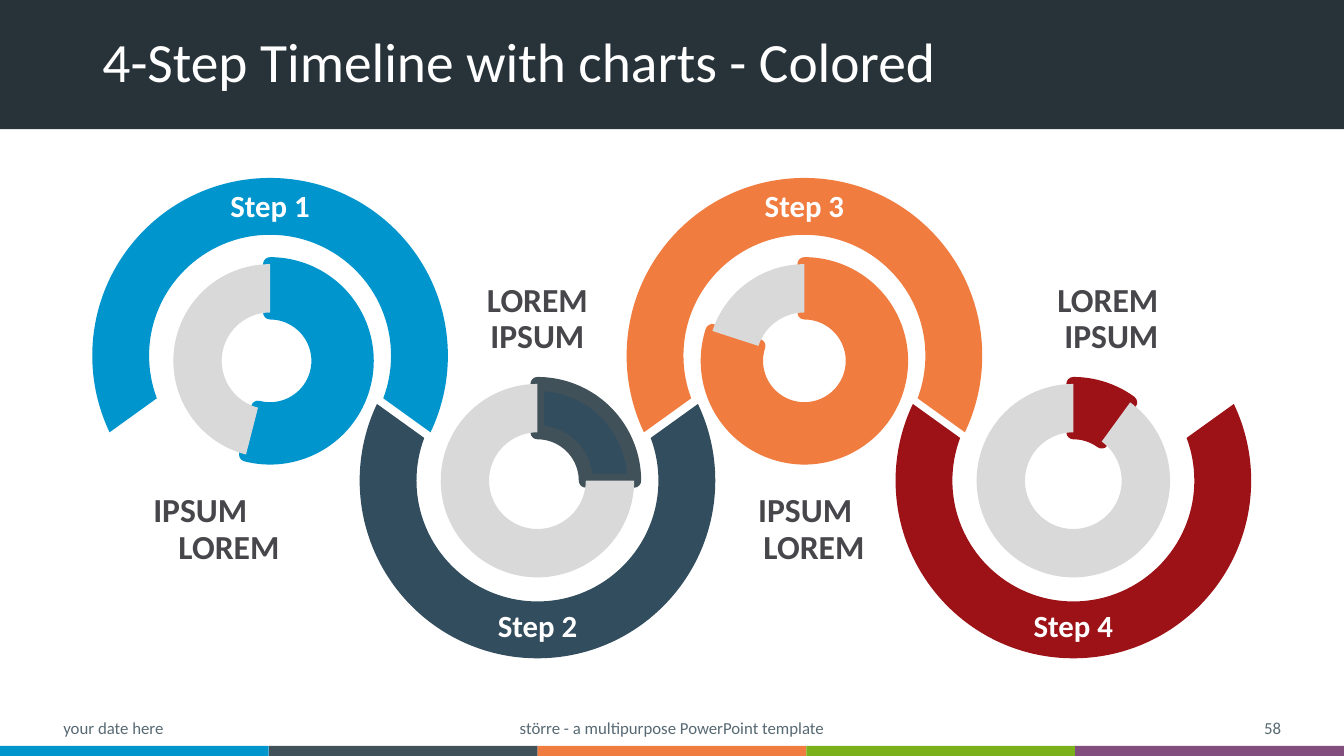
from dataclasses import dataclass
from math import cos, radians, sin, tan

from lxml import etree
from pptx import Presentation
from pptx.chart import data as chart_data
from pptx.dml.color import RGBColor
from pptx.enum import chart as charts, shapes, text
from pptx.oxml import ns
from pptx.util import Pt

LEFT, CENTER, RIGHT = text.PP_ALIGN.LEFT, text.PP_ALIGN.CENTER, text.PP_ALIGN.RIGHT
TOP, MIDDLE, BOTTOM = text.MSO_ANCHOR.TOP, text.MSO_ANCHOR.MIDDLE, text.MSO_ANCHOR.BOTTOM


@dataclass(frozen=True)
class Theme:
    """Colours and type sizes of the slide."""
    font: str = "Calibri"
    header: str = "273339"
    white: str = "FFFFFF"
    caption: str = "47464B"
    footer: str = "576973"
    rest: str = "D9D9D9"
    blue: str = "0095CD"
    slate: str = "40515A"
    navy: str = "324D5E"
    orange: str = "F17C3F"
    green: str = "7BB21B"
    purple: str = "814E7E"
    red: str = "9D1217"
    title_size: float = 39.6
    caption_size: float = 24
    step_size: float = 22
    footer_size: float = 12
    chart_size: float = 10


THEME = Theme()
WIDTH, HEIGHT = 960, 540
HEADER_HEIGHT = 92.2
STRIPE_HEIGHT = 7.2
RING_OUTER, RING_INNER = 127, 86.4
OUTER_END, INNER_END = 25.5, 20.6
CHART_WIDTH, CHART_HEIGHT, DONUT = 180.7, 158.4, 138.2

STEPS = [
    ("Step 1", 192.9, True, 54, THEME.blue, THEME.blue),
    ("Step 2", 383.9, False, 25, THEME.navy, THEME.slate),
    ("Step 3", 574.6, True, 80, THEME.orange, THEME.orange),
    ("Step 4", 766.7, False, 10, THEME.red, THEME.red),
]
CAPTIONS = [
    ("IPSUM LOREM", 102.4, 349.2, 85.7, LEFT, TOP, 18),
    ("LOREM IPSUM", 315.8, 172.1, 85.7, CENTER, BOTTOM, 0),
    ("IPSUM LOREM ", 507.1, 349.2, 85.7, CENTER, TOP, 18),
    ("LOREM IPSUM", 698.4, 198, 59.8, RIGHT, BOTTOM, 18),
]
FOOTERS = [
    ("your date here", 38.2, 216, LEFT),
    ("större - a multipurpose PowerPoint template", 318, 324, CENTER),
    ("58", 706.2, 216, RIGHT),
]
STRIPES = [THEME.blue, THEME.slate, THEME.orange, THEME.green, THEME.purple]


def paint(shape, color):
    """Give a shape a flat fill without outline or shadow."""
    shape.shadow.inherit = False
    shape.fill.solid()
    shape.fill.fore_color.rgb = RGBColor.from_string(color)
    shape.line.fill.background()


def add_bar(slide, left, top, width, height, color):
    """Add a plain rectangle."""
    bar = slide.shapes.add_shape(
        shapes.MSO_SHAPE.RECTANGLE, Pt(left), Pt(top), Pt(width), Pt(height))
    paint(bar, color)


def write(box, words, size, color, align, anchor, bold=False, spacing=0.9, hanging=0):
    """Fill a text shape with one formatted paragraph."""
    frame = box.text_frame
    frame.word_wrap = True
    frame.auto_size = text.MSO_AUTO_SIZE.NONE
    frame.vertical_anchor = anchor
    frame.text = words
    paragraph = frame.paragraphs[0]
    paragraph.alignment = align
    paragraph.line_spacing = spacing
    if hanging:
        properties = paragraph._p.get_or_add_pPr()
        properties.set("marL", str(Pt(hanging)))
        properties.set("indent", str(-Pt(hanging)))
    paragraph.font.name = THEME.font
    paragraph.font.size = Pt(size)
    paragraph.font.bold = bold
    paragraph.font.color.rgb = RGBColor.from_string(color)


def add_label(slide, left, top, width, height, *content, **options):
    """Add a text box with one paragraph."""
    label = slide.shapes.add_textbox(Pt(left), Pt(top), Pt(width), Pt(height))
    write(label, *content, **options)


def add_header(slide):
    """Add the dark band and lay the title over it."""
    add_bar(slide, 0, 0, WIDTH, HEADER_HEIGHT, THEME.header)
    title = slide.shapes.title
    title._element.getparent().append(title._element)
    title.left, title.top, title.width, title.height = Pt(66), Pt(19.4), Pt(828), Pt(53.3)
    write(title, "4-Step Timeline with charts - Colored",
          THEME.title_size, THEME.white, LEFT, MIDDLE)


def arc_points(center_x, center_y, radius, stops, upward):
    """List the start of an arc and the Bézier points between its stops."""
    def place(angle, along=0):
        x = radius * (cos(angle) - along * sin(angle))
        y = radius * (sin(angle) + along * cos(angle))
        return Pt(center_x + x), Pt(center_y + upward * y)

    angles = [radians(stop) for stop in stops]
    points = [place(angles[0])]
    for start, end in zip(angles, angles[1:]):
        handle = 4 / 3 * tan((end - start) / 4)
        points += [place(start, handle), place(end, -handle), place(end)]
    return points


def round_off(ring, corner):
    """Turn the straight segments into curves, except the one that reaches the corner."""
    segments = ring._element.findall(".//" + ns.qn("a:lnTo"))
    curved = segments[:corner] + segments[corner + 1:]
    for first, second, last in zip(curved[::3], curved[1::3], curved[2::3]):
        curve = etree.Element(ns.qn("a:cubicBezTo"))
        first.addprevious(curve)
        for segment in (first, second, last):
            curve.append(segment[0])
            segment.getparent().remove(segment)


def add_ring(slide, center_x, rises, color):
    """Add an open ring that arches up or hangs down."""
    center_y, upward = (254.1, -1) if rises else (343.2, 1)
    outer = arc_points(center_x, center_y, RING_OUTER,
                       (-OUTER_END, 0, 90, 180, 180 + OUTER_END), upward)
    inner = arc_points(center_x, center_y, RING_INNER,
                       (180 + INNER_END, 180, 90, 0, -INNER_END), upward)
    builder = slide.shapes.build_freeform(*outer[0])
    builder.add_line_segments(outer[1:] + inner, close=True)
    ring = builder.convert_to_shape()
    round_off(ring, len(outer) - 1)
    paint(ring, color)


def center_plot(chart):
    """Place the doughnut in the middle of its chart area."""
    plot_area = chart._chartSpace.find(".//" + ns.qn("c:plotArea"))
    for old in plot_area.findall(ns.qn("c:layout")):
        plot_area.remove(old)
    layout = etree.Element(ns.qn("c:layout"))
    manual = etree.SubElement(layout, ns.qn("c:manualLayout"))
    w, h = DONUT / CHART_WIDTH, DONUT / CHART_HEIGHT
    settings = [("layoutTarget", "inner"), ("xMode", "edge"), ("yMode", "edge"),
                ("x", (1 - w) / 2), ("y", (1 - h) / 2), ("w", w), ("h", h)]
    for tag, value in settings:
        etree.SubElement(manual, ns.qn("c:" + tag)).set("val", str(value))
    plot_area.insert(0, layout)


def add_doughnut(slide, center_x, rises, share, color, edge):
    """Add a doughnut whose coloured share has a thick edge."""
    values = chart_data.CategoryChartData()
    values.categories = ["1", "2"]
    values.add_series("Series 1", (share, 100 - share))
    chart = slide.shapes.add_chart(
        charts.XL_CHART_TYPE.DOUGHNUT, Pt(center_x - CHART_WIDTH / 2),
        Pt(178.6 if rises else 264.2), Pt(CHART_WIDTH), Pt(CHART_HEIGHT), values).chart
    chart.has_legend = False
    chart.has_title = False
    chart.font.name = THEME.font
    chart.font.size = Pt(THEME.chart_size)
    chart.font.color.rgb = RGBColor.from_string(THEME.header)
    plot = chart.plots[0]
    plot.vary_by_categories = True
    done, rest = (plot.series[0].points[i].format for i in range(2))
    for part, fill in ((done, color), (rest, THEME.rest)):
        part.fill.solid()
        part.fill.fore_color.rgb = RGBColor.from_string(fill)
    done.line.color.rgb = RGBColor.from_string(edge)
    done.line.width = Pt(10)
    rest.line.fill.background()
    center_plot(chart)


def main():
    """Build the slide and save it."""
    deck = Presentation()
    deck.slide_width, deck.slide_height = Pt(WIDTH), Pt(HEIGHT)
    slide = deck.slides.add_slide(deck.slide_layouts[5])
    add_header(slide)
    for name, center_x, rises, share, color, edge in STEPS:
        add_ring(slide, center_x, rises, color)
        add_doughnut(slide, center_x, rises, share, color, edge)
        add_label(slide, center_x - 62, 131 if rises else 431, 124, 34, name,
                  THEME.step_size, THEME.white, CENTER, MIDDLE, bold=True)
    for words, left, top, height, align, anchor, hanging in CAPTIONS:
        add_label(slide, left, top, 136.1, height, words, THEME.caption_size,
                  THEME.caption, align, anchor, bold=True, hanging=hanging)
    stripe = WIDTH / len(STRIPES)
    for i, color in enumerate(STRIPES):
        add_bar(slide, i * stripe, HEIGHT - STRIPE_HEIGHT, stripe, STRIPE_HEIGHT, color)
    for words, left, width, align in FOOTERS:
        add_label(slide, left, 509, width, 22.3, words, THEME.footer_size,
                  THEME.footer, align, MIDDLE, spacing=1.0)
    deck.save("out.pptx")


if __name__ == "__main__":
    main()
